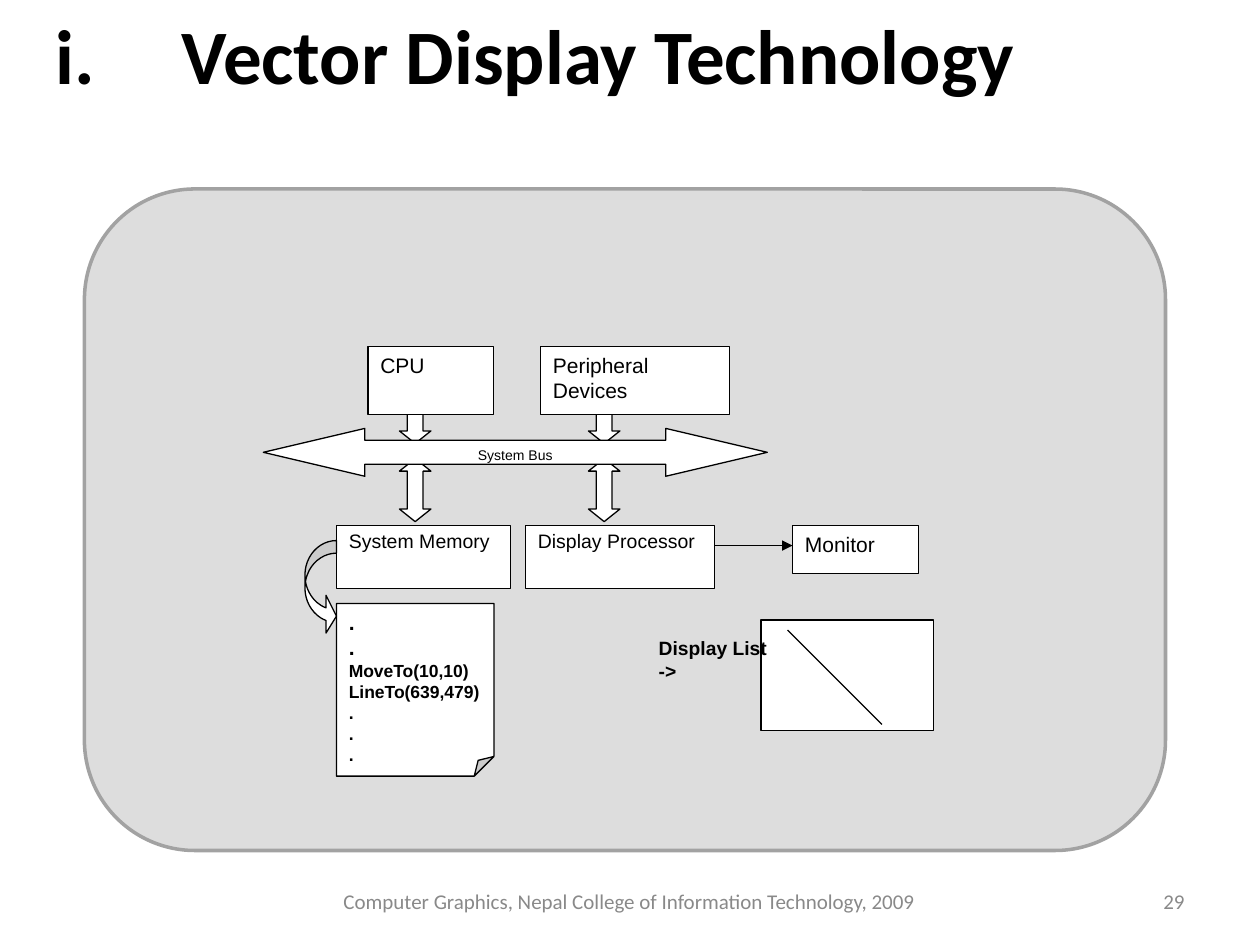
from lxml import etree
from pptx import Presentation
from pptx.dml.color import RGBColor
from pptx.enum.shapes import MSO_CONNECTOR as Link, MSO_SHAPE as Kind
from pptx.enum.text import MSO_ANCHOR as Anchor, PP_ALIGN as Align
from pptx.oxml.ns import qn
from pptx.util import Inches, Pt

BLACK = RGBColor(0, 0, 0)
WHITE = RGBColor(0xFF, 0xFF, 0xFF)
GRAY = RGBColor(0x89, 0x89, 0x89)
PANEL = RGBColor(0xDD, 0xDD, 0xDD)
EDGE = RGBColor(0xA2, 0xA2, 0xA2)


def write(shape, lines, size, font="Arial", color=BLACK, bold=False,
          align=Align.LEFT, anchor=Anchor.TOP, top=0.05, wrap=True, gap=1.0):
    """Fill a shape with one paragraph per line; a line is text or (text, size)."""
    frame = shape.text_frame
    frame.word_wrap = wrap
    frame.vertical_anchor = anchor
    frame.margin_left = frame.margin_right = Inches(0.1)
    frame.margin_top, frame.margin_bottom = Inches(top), Inches(0.05)
    for i, line in enumerate(lines):
        text, pts = line if isinstance(line, tuple) else (line, size)
        para = frame.add_paragraph() if i else frame.paragraphs[0]
        para.alignment = align
        para.line_spacing = gap
        run = para.add_run()
        run.text = text
        run.font.name, run.font.size, run.font.bold = font, Pt(pts), bold
        run.font.color.rgb = color
    return frame


def label(slide, box, lines, size, **style):
    """Add a text box."""
    return write(slide.shapes.add_textbox(*map(Inches, box)), lines, size, **style)


def adjust(shape, values):
    """Set the guide values of a preset shape."""
    guides = shape._element.spPr.find(qn("a:prstGeom")).get_or_add_avLst()
    for guide in list(guides):
        guides.remove(guide)
    for i, value in enumerate(values, 1):
        name = f"adj{i}" if len(values) > 1 else "adj"
        etree.SubElement(guides, qn("a:gd"), name=name,
                         fmla=f"val {round(value * 100000)}")


def block(slide, kind, box, adj=(), fill=WHITE, edge=BLACK, width=0.75):
    """Add an outlined preset shape."""
    shape = slide.shapes.add_shape(kind, *map(Inches, box))
    shape.shadow.inherit = False
    adjust(shape, adj)
    shape.fill.solid()
    shape.fill.fore_color.rgb = fill
    shape.line.color.rgb = edge
    shape.line.width = Pt(width)
    return shape


def wire(slide, ends, arrow=False):
    """Add a straight line, with an arrowhead if asked."""
    line = slide.shapes.add_connector(Link.STRAIGHT, *map(Inches, ends))
    line.line.color.rgb = BLACK
    line.line.width = Pt(0.75)
    props = line._element.spPr
    if arrow:
        etree.SubElement(props.find(qn("a:ln")), qn("a:tailEnd"), type="triangle")
    etree.SubElement(props, qn("a:effectLst"))


def title(slide, box):
    """Place the numbered heading with its tab stop."""
    frame = label(slide, box, ["i.\tVector Display Technology"], 44,
                  font="Calibri", bold=True, align=Align.CENTER, top=0.06)
    props = frame.paragraphs[0]._p.get_or_add_pPr()
    tabs = etree.SubElement(props, qn("a:tabLst"))
    etree.SubElement(tabs, qn("a:tab"), pos=str(Inches(1)), algn="l")


def diagram(slide, box):
    """Draw the vector display system inside its panel."""
    left, top = box[:2]

    def at(x, y, w, h):
        return left + x, top + y, w, h

    def span(x, y, to_x, to_y):
        return left + x, top + y, left + to_x, top + to_y

    block(slide, Kind.ROUNDED_RECTANGLE, box, [0.167], PANEL, EDGE, 2)
    for y in (1.52, 2.14):
        for x in (2.5, 4):
            block(slide, Kind.UP_DOWN_ARROW, at(x, y, 0.25, 0.5), [0.5, 0.398])

    units = [
        ("CPU", 2.25, 1.25, 1, 0.54, 12, 1.0),
        ("Peripheral Devices", 3.62, 1.25, 1.5, 0.54, 12, 1.0),
        ("System Memory", 2, 2.67, 1.38, 0.5, 11.1, 0.9),
        ("Display Processor", 3.5, 2.67, 1.5, 0.5, 11.1, 0.9),
        ("Monitor", 5.62, 2.67, 1, 0.38, 12, 1.0),
    ]
    for text, x, y, w, h, size, gap in units:
        unit = block(slide, Kind.RECTANGLE, at(x, y, w, h))
        write(unit, [text], size, gap=gap)
    wire(slide, span(5, 2.83, 5.62, 2.83), arrow=True)

    note = block(slide, Kind.FOLDED_CORNER, at(2, 3.29, 1.25, 1.37), [0.125])
    code = [(".", 12), (".", 12), "MoveTo(10,10)", "LineTo(639,479)", ".", ".", "."]
    write(note, code, 10, bold=True)
    block(slide, Kind.CURVED_RIGHT_ARROW, at(1.75, 2.79, 0.25, 0.75), [0.4, 1.2, 0.33])

    block(slide, Kind.RECTANGLE, at(5.37, 3.42, 1.37, 0.88))
    wire(slide, span(5.58, 3.5, 6.33, 4.25))
    bus = block(slide, Kind.LEFT_RIGHT_ARROW, at(1.42, 1.9, 4, 0.38), [0.5, 2.122])
    write(bus, ["System Bus"], 8, align=Align.CENTER)
    label(slide, at(4.46, 3.28, 1.24, 0.77), ["Display List ->"], 11,
          bold=True, anchor=Anchor.MIDDLE, top=0.19, wrap=False)


def footer(slide, box):
    """Place the course line and the page number."""
    left, top, width, height = box
    parts = [
        (0, 4.83, "Computer Graphics, Nepal College of Information Technology, 2009",
         Align.CENTER),
        (width - 2.33, 2.33, "29", Align.RIGHT),
    ]
    for x, w, text, align in parts:
        label(slide, (left + x, top, w, height), [text], 12, font="Calibri",
              color=GRAY, align=align, anchor=Anchor.MIDDLE)


def main():
    """Build and save the slide."""
    deck = Presentation()
    deck.slide_width, deck.slide_height = Inches(10), Inches(7.5)
    slide = deck.slides.add_slide(deck.slide_layouts[6])
    title(slide, (0, 0, 8.5, 1.61))
    footer(slide, (2.58, 6.95, 6.92, 0.4))
    diagram(slide, (0.67, 1.5, 8.58, 5.25))
    deck.save("out.pptx")


if __name__ == "__main__":
    main()
